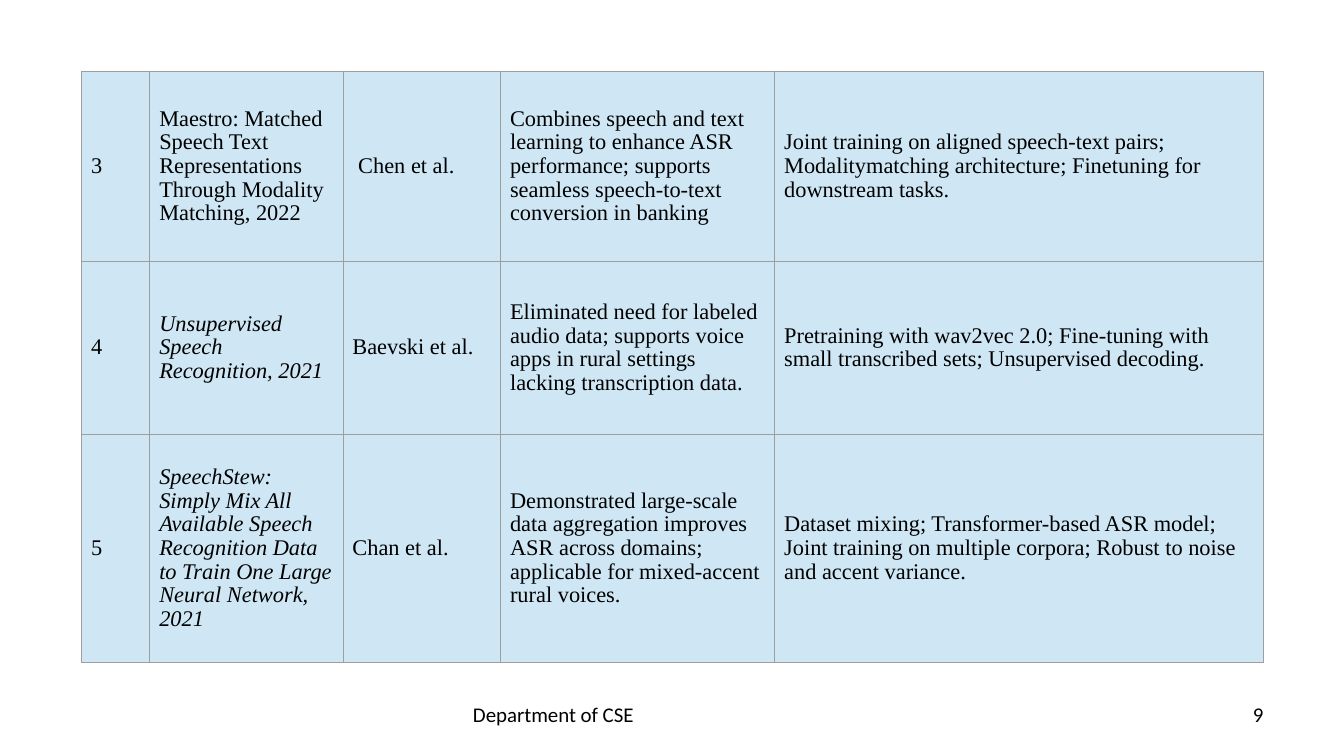
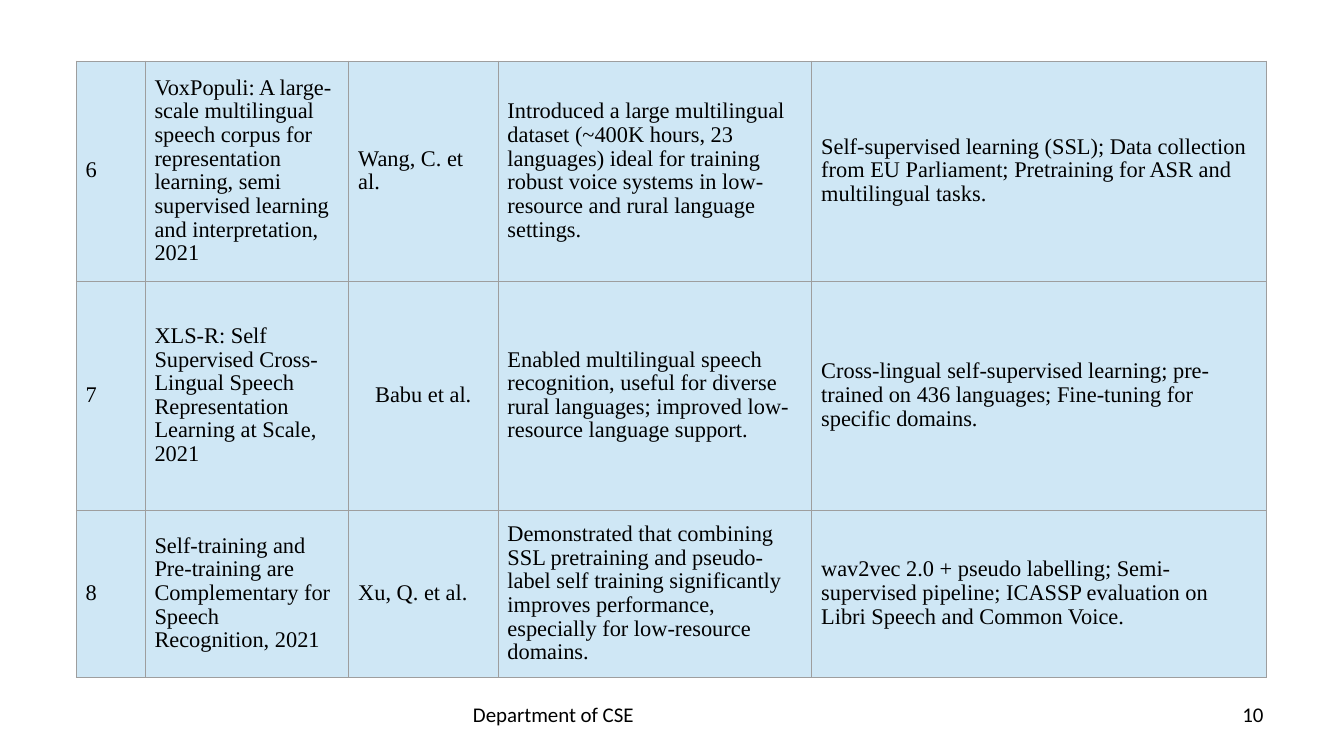
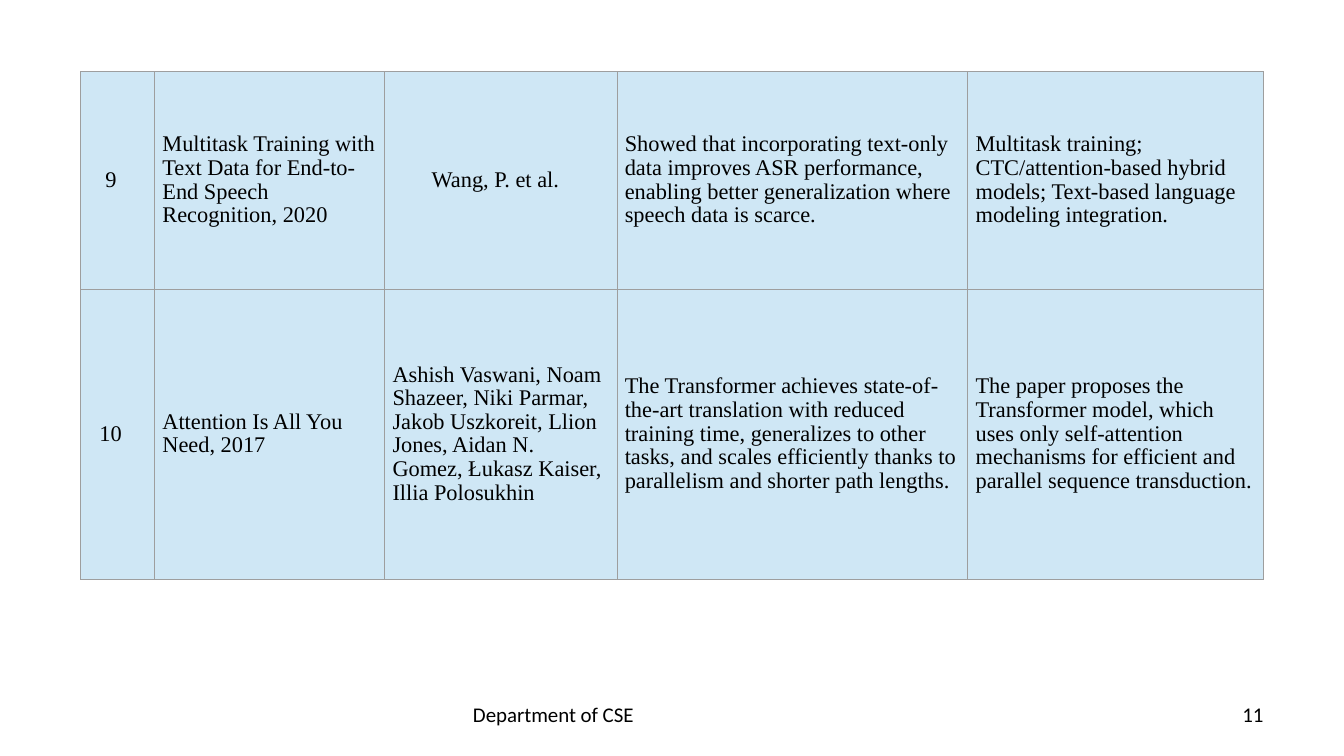
from dataclasses import dataclass

from lxml import etree
from pptx import Presentation
from pptx import util as u
from pptx.dml.color import RGBColor
from pptx.enum import text
from pptx.oxml import ns

FOOTER = "Department of CSE"
FIRST_PAGE = 9

SURVEY = [
    dict(
        left=1.54, top=1.35, inset=0.18,
        columns=[1.29, 3.65, 2.98, 5.18, 9.23],
        heights=[3.59, 3.27, 4.31],
        papers=[
            ("3",
             "Maestro: Matched Speech Text Representations Through Modality Matching, 2022",
             "Chen et al.",
             "Combines speech and text learning to enhance ASR performance; supports seamless "
             "speech-to-text conversion in banking",
             "Joint training on aligned speech-text pairs; Modalitymatching architecture; "
             "Finetuning for downstream tasks."),
            ("4",
             "Unsupervised Speech Recognition, 2021",
             "Baevski et al.",
             "Eliminated need for labeled audio data; supports voice apps in rural settings "
             "lacking transcription data.",
             "Pretraining with wav2vec 2.0; Fine-tuning with small transcribed sets; "
             "Unsupervised decoding."),
            ("5",
             "SpeechStew: Simply Mix All Available Speech Recognition Data to Train One Large "
             "Neural Network, 2021",
             "Chan et al.",
             "Demonstrated large-scale data aggregation improves ASR across domains; applicable "
             "for mixed-accent rural voices.",
             "Dataset mixing; Transformer-based ASR model; Joint training on multiple corpora; "
             "Robust to noise and accent variance."),
        ],
    ),
    dict(
        left=1.44, top=1.15, inset=0.18,
        columns=[1.3, 3.85, 2.82, 5.93, 8.6],
        heights=[4.16, 4.33, 3.15],
        papers=[
            ("6",
             "VoxPopuli: A large-scale multilingual speech corpus for representation learning, "
             "semi supervised learning and interpretation, 2021",
             "Wang, C. et al.",
             "Introduced a large multilingual dataset (~400K hours, 23 languages) ideal for "
             "training robust voice systems in low-resource and rural language settings.",
             "Self-supervised learning (SSL); Data collection from EU Parliament; Pretraining "
             "for ASR and multilingual tasks."),
            ("7",
             "XLS-R: Self Supervised Cross-Lingual Speech Representation Learning at Scale, 2021",
             "Babu et al.",
             "Enabled multilingual speech recognition, useful for diverse rural languages; "
             "improved low-resource language support.",
             "Cross-lingual self-supervised learning; pre-trained on 436 languages; Fine-tuning "
             "for specific domains."),
            ("8",
             "Self-training and Pre-training are Complementary for Speech Recognition, 2021",
             "Xu, Q. et al.",
             "Demonstrated that combining SSL pretraining and pseudo-label self training "
             "significantly improves performance, especially for low-resource domains.",
             "wav2vec 2.0 + pseudo labelling; Semi-supervised pipeline; ICASSP evaluation on "
             "Libri Speech and Common Voice."),
        ],
    ),
    dict(
        left=1.52, top=1.35, inset=0.15,
        columns=[1.4, 4.35, 4.39, 6.63, 5.59],
        heights=[4.11, 5.49],
        papers=[
            ("9",
             "Multitask Training with Text Data for End-to-End Speech Recognition, 2020",
             "Wang, P. et al.",
             "Showed that incorporating text-only data improves ASR performance, enabling better "
             "generalization where speech data is scarce.",
             "Multitask training; CTC/attention-based hybrid models; Text-based language "
             "modeling integration."),
            ("10",
             "Attention Is All You Need, 2017",
             "Ashish Vaswani, Noam Shazeer, Niki Parmar, Jakob Uszkoreit, Llion Jones, "
             "Aidan N. Gomez, Łukasz Kaiser, Illia Polosukhin",
             "The Transformer achieves state-of-the-art translation with reduced training time, "
             "generalizes to other tasks, and scales efficiently thanks to parallelism and "
             "shorter path lengths.",
             "The paper proposes the Transformer model, which uses only self-attention "
             "mechanisms for efficient and parallel sequence transduction."),
        ],
    ),
]

ITALIC_TITLES = {SURVEY[0]["papers"][1][1], SURVEY[0]["papers"][2][1]}
INDENTS = {"Chen et al.": 0.11, "Babu et al.": 0.32, "9": 0.32,
           "Wang, P. et al.": 0.74, "10": 0.21}


@dataclass(frozen=True)
class Theme:
    ink: str = "000000"
    cell: str = "CFE7F5"
    rule: str = "9E9E9E"
    rule_width: float = 0.34
    body_font: str = "Times New Roman"
    body_size: float = 12
    body_spacing: float = 0.95
    footer_font: str = "Calibri"
    footer_size: float = 11.2
    footer_spacing: float = 0.8


THEME = Theme()


def style(paragraph, font, size, spacing, italic=False):
    paragraph.line_spacing = spacing
    paragraph.font.name = font
    paragraph.font.size = u.Pt(size)
    paragraph.font.italic = italic
    paragraph.font.color.rgb = RGBColor.from_string(THEME.ink)


def add_footer(slide, wording, left, width, align):
    footer = slide.shapes.add_textbox(u.Cm(left), u.Cm(13.23), u.Cm(width), u.Cm(0.76))
    footer.text_frame.word_wrap = True
    paragraph = footer.text_frame.paragraphs[0]
    paragraph.text = wording
    paragraph.alignment = align
    style(paragraph, THEME.footer_font, THEME.footer_size, THEME.footer_spacing)


def add_borders(cell):
    properties = cell._tc.get_or_add_tcPr()
    for side in ("lnL", "lnR", "lnT", "lnB"):
        line = etree.SubElement(properties, ns.qn(f"a:{side}"), w=str(u.Pt(THEME.rule_width)))
        fill = etree.SubElement(line, ns.qn("a:solidFill"))
        etree.SubElement(fill, ns.qn("a:srgbClr"), val=THEME.rule)


def fill_cell(cell, wording, inset):
    add_borders(cell)
    cell.fill.solid()
    cell.fill.fore_color.rgb = RGBColor.from_string(THEME.cell)
    cell.vertical_anchor = text.MSO_ANCHOR.MIDDLE
    cell.margin_left = cell.margin_right = u.Cm(inset)
    cell.margin_top = cell.margin_bottom = u.Cm(0.13)
    paragraph = cell.text_frame.paragraphs[0]
    paragraph.text = wording
    if wording in INDENTS:
        paragraph._p.get_or_add_pPr().set("marL", str(u.Cm(INDENTS[wording])))
    style(paragraph, THEME.body_font, THEME.body_size, THEME.body_spacing,
          wording in ITALIC_TITLES)


def add_survey(slide, part):
    columns, heights = part["columns"], part["heights"]
    survey = slide.shapes.add_table(
        len(heights), len(columns), u.Cm(part["left"]), u.Cm(part["top"]),
        u.Cm(sum(columns)), u.Cm(sum(heights))).table
    survey.first_row = survey.horz_banding = False
    for column, width in zip(survey.columns, columns):
        column.width = u.Cm(width)
    for row, height, paper in zip(survey.rows, heights, part["papers"]):
        row.height = u.Cm(height)
        for cell, wording in zip(row.cells, paper):
            fill_cell(cell, wording, part["inset"])


def main():
    deck = Presentation()
    deck.slide_width, deck.slide_height = u.Cm(25.4), u.Cm(14.29)
    for page, part in enumerate(SURVEY, FIRST_PAGE):
        slide = deck.slides.add_slide(deck.slide_layouts[6])
        add_footer(slide, FOOTER, 8.69, 8.05, text.PP_ALIGN.LEFT)
        add_footer(slide, str(page), 18.21, 5.92, text.PP_ALIGN.RIGHT)
        add_survey(slide, part)
    deck.save("out.pptx")


if __name__ == "__main__":
    main()
